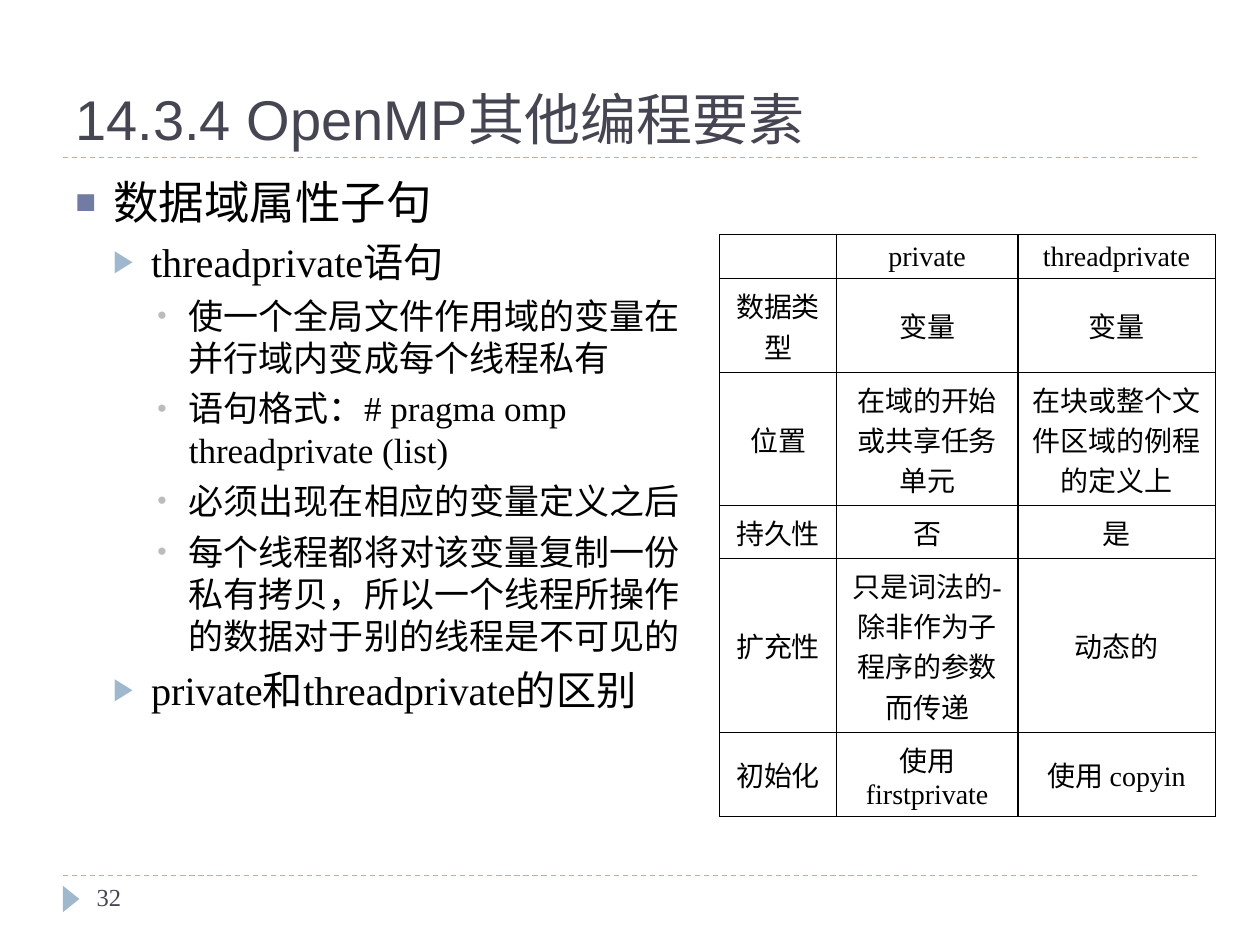
"""Build the slide on OpenMP data scope clauses with its comparison table."""
import pptx
import pptx.chart.data
import pptx.dml.color
import pptx.enum.dml
import pptx.enum.shapes
import pptx.enum.text
import pptx.oxml
import pptx.oxml.ns
import pptx.util
from pptx.util import Pt

TITLE = "14.3.4 OpenMP其他编程要素"
PAGE_NUMBER = "32"
OUTLINE = [
    (0, "数据域属性子句"),
    (1, "threadprivate语句"),
    (2, "使一个全局文件作用域的变量在并行域内变成每个线程私有"),
    (2, "语句格式：# pragma omp threadprivate (list)"),
    (2, "必须出现在相应的变量定义之后"),
    (2, "每个线程都将对该变量复制一份私有拷贝，所以一个线程所操作的数据对于别的线程是不可见的"),
    (1, "private和threadprivate的区别"),
]
LEVELS = [
    {"size": 26, "margin": 21.6, "hang": 21.6, "before": 6, "bullet": "■", "color": "727CA3"},
    {"size": 23, "margin": 43.2, "hang": 21.6, "before": 5, "bullet": "▶", "color": "9FB8CD"},
    {"size": 20, "margin": 64.8, "hang": 18, "before": 5, "bullet": "•", "color": "BCBCBC"},
]
COMPARISON = [
    ("", "private", "threadprivate"),
    ("数据类型", "变量", "变量"),
    ("位置", "在域的开始或共享任务单元", "在块或整个文件区域的例程的定义上"),
    ("持久性", "否", "是"),
    ("扩充性", "只是词法的- 除非作为子程序的参数而传递", "动态的"),
    ("初始化", "使用 firstprivate", "使用 copyin"),
]
COLUMN_WIDTHS = [67, 103.5, 113]
ROW_HEIGHTS = [24.6, 53.7, 76, 30.3, 99.4, 48]
RULES = [90, 500.4]
INK, SLATE, ACCENT = "000000", "464653", "9FB8CD"
SERIF, SANS = "Times New Roman", "Arial"


def rgb(value):
    return pptx.dml.color.RGBColor.from_string(value)


def add_xml(parent, tag, **attributes):
    child = pptx.oxml.parse_xml(f"<a:{tag} {pptx.oxml.ns.nsdecls('a')}/>")
    for name, value in attributes.items():
        child.set(name, str(value))
    parent.append(child)
    return child


def style(para, size, font, color):
    for span in para.runs:
        span.font.size = Pt(size)
        span.font.name = font
        span.font.color.rgb = rgb(color)


def add_text(page, place, lines, anchor=pptx.enum.text.MSO_ANCHOR.TOP):
    frame = page.shapes.add_textbox(*map(Pt, place)).text_frame
    frame.word_wrap = True
    frame.vertical_anchor = anchor
    frame.text = "\n".join(lines)
    return frame.paragraphs


def add_rule(page, top):
    rule = page.shapes.add_connector(
        pptx.enum.shapes.MSO_CONNECTOR.STRAIGHT, Pt(36), Pt(top), Pt(684), Pt(top))
    rule.line.color.rgb = rgb(ACCENT)
    rule.line.width = Pt(0.75)
    rule.line.dash_style = pptx.enum.dml.MSO_LINE.DASH
    add_xml(rule._element.spPr, "effectLst")


def add_marker(page):
    marker = page.shapes.add_shape(
        pptx.enum.shapes.MSO_SHAPE.ISOSCELES_TRIANGLE, Pt(33.1), Pt(509), Pt(15.1), Pt(9.4))
    marker.rotation = 90
    marker.shadow.inherit = False
    marker.fill.solid()
    marker.fill.fore_color.rgb = rgb(ACCENT)
    marker.line.fill.background()


def add_outline(page):
    paras = add_text(page, (36, 95.8, 375, 388.8), [text for _, text in OUTLINE])
    for index, (para, (depth, _)) in enumerate(zip(paras, OUTLINE)):
        level = LEVELS[depth]
        para.level = depth
        para.space_before = Pt(level["before"] if index else 0)
        properties = para._p.get_or_add_pPr()
        properties.set("marL", str(Pt(level["margin"])))
        properties.set("indent", str(-Pt(level["hang"])))
        add_xml(add_xml(properties, "buClr"), "srgbClr", val=level["color"])
        add_xml(properties, "buSzPct", val=76000)
        add_xml(properties, "buFont", typeface=SANS)
        add_xml(properties, "buChar", char=level["bullet"])
        style(para, level["size"], SERIF, INK)


def add_borders(cell, row, column):
    last_row, last_column = len(ROW_HEIGHTS) - 1, len(COLUMN_WIDTHS) - 1
    outer = {"lnL": column == 0, "lnR": column == last_column,
             "lnT": row == 0, "lnB": row == last_row}
    properties = cell._tc.get_or_add_tcPr()
    for tag, is_outer in outer.items():
        border = add_xml(properties, tag, w=Pt(0.75 if is_outer else 1))
        add_xml(add_xml(border, "solidFill"), "srgbClr", val=INK)


def add_comparison(page):
    table = page.shapes.add_table(
        len(ROW_HEIGHTS), len(COLUMN_WIDTHS), Pt(411.1), Pt(134.1),
        Pt(sum(COLUMN_WIDTHS)), Pt(sum(ROW_HEIGHTS))).table
    table.first_row = table.horz_banding = False
    for column, width in zip(table.columns, COLUMN_WIDTHS):
        column.width = Pt(width)
    for row, height in zip(table.rows, ROW_HEIGHTS):
        row.height = Pt(height)
    for row, texts in enumerate(COMPARISON):
        for column, text in enumerate(texts):
            cell = table.cell(row, column)
            cell.text = text
            cell.vertical_anchor = pptx.enum.text.MSO_ANCHOR.MIDDLE
            cell.margin_top = cell.margin_bottom = Pt(3)
            para = cell.text_frame.paragraphs[0]
            para.alignment = pptx.enum.text.PP_ALIGN.CENTER
            para.font.size = Pt(16)
            style(para, 16, SERIF, INK)
            add_borders(cell, row, column)
            cell.fill.background()


def main():
    deck = pptx.Presentation()
    deck.slide_width, deck.slide_height = Pt(720), Pt(540)
    page = deck.slides.add_slide(deck.slide_layouts[6])
    for top in RULES:
        add_rule(page, top)
    add_marker(page)
    title = add_text(page, (36, 12.2, 648, 77.8), [TITLE], pptx.enum.text.MSO_ANCHOR.BOTTOM)
    style(title[0], 32, SANS, SLATE)
    add_outline(page)
    number = add_text(page, (48.2, 500.4, 156.2, 28.8), [PAGE_NUMBER])
    style(number[0], 14, SERIF, SLATE)
    add_comparison(page)
    deck.save("out.pptx")


if __name__ == "__main__":
    main()
